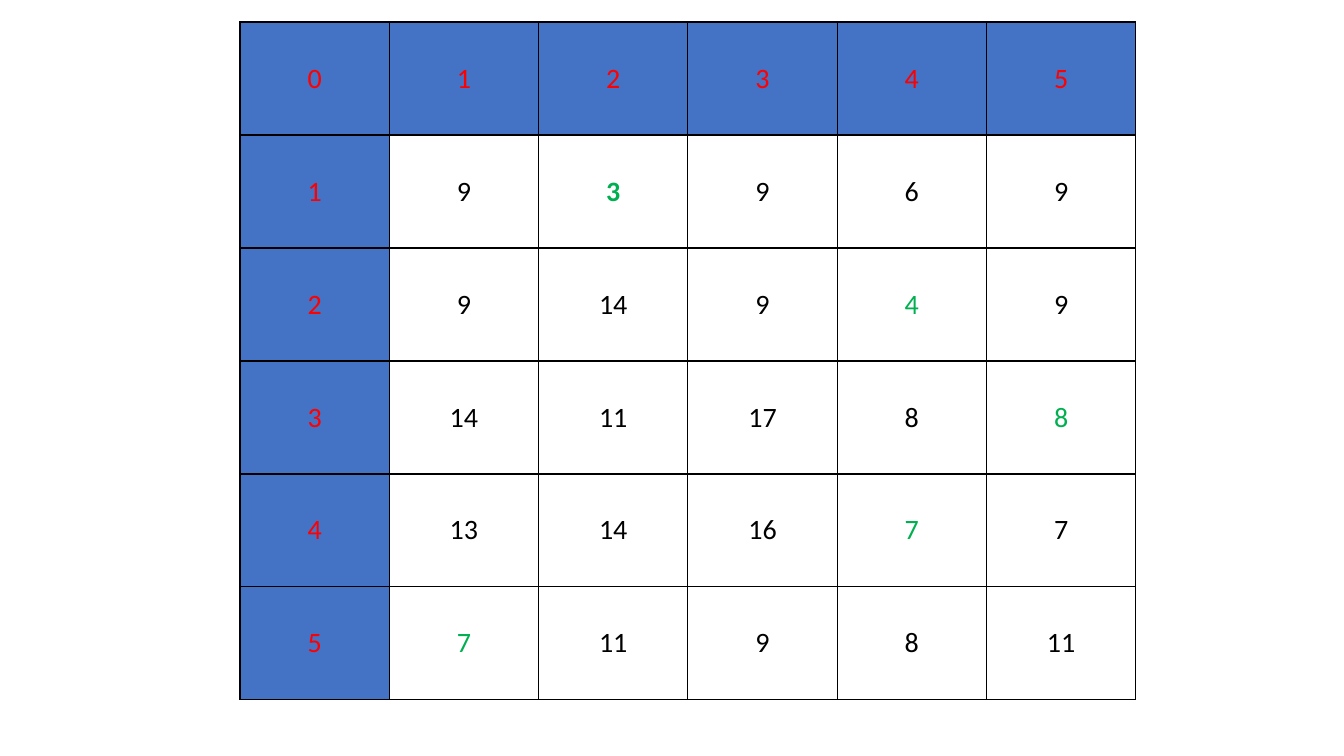
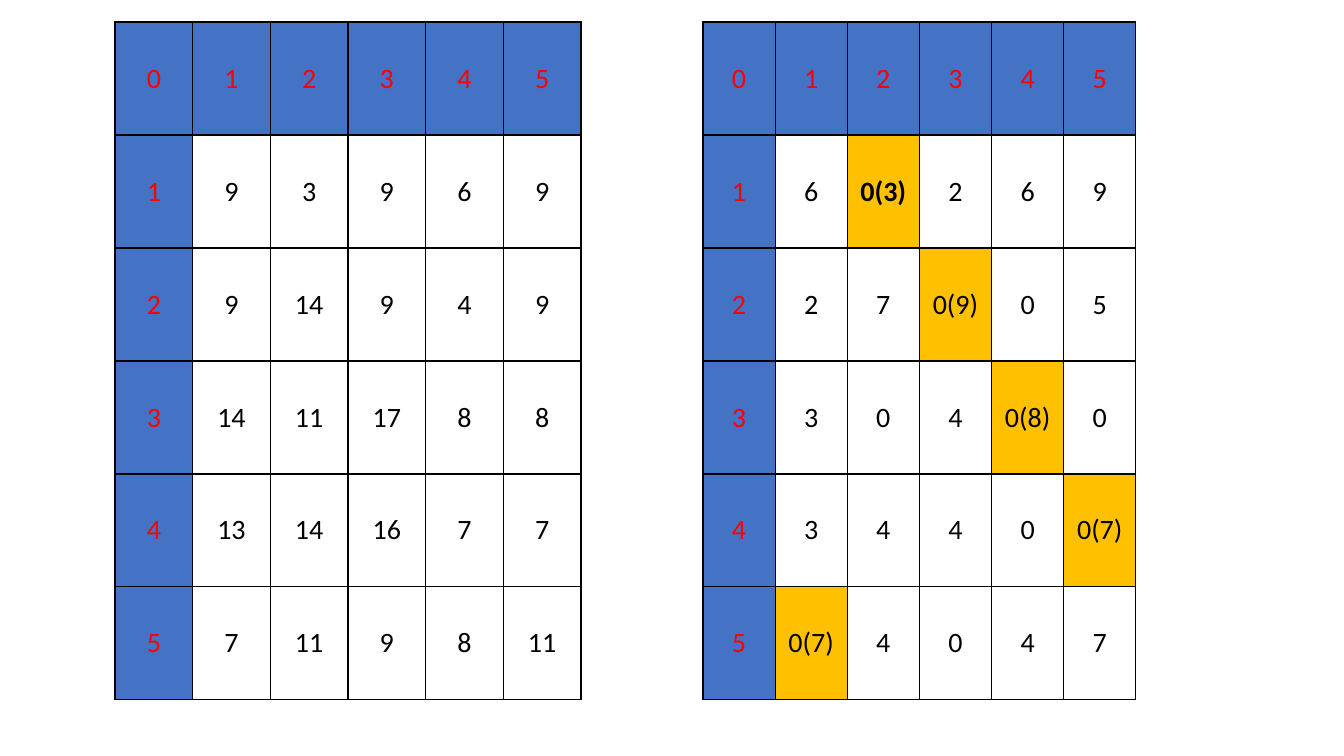
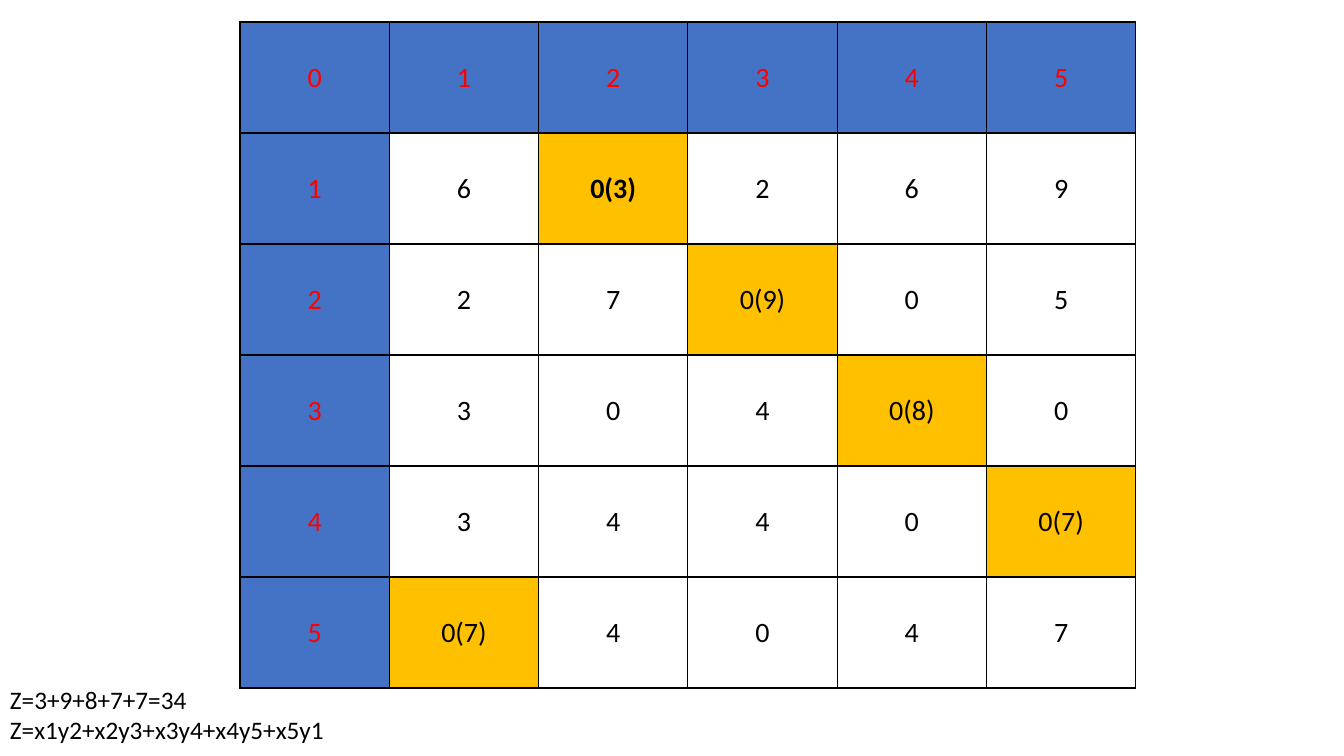
from pptx import Presentation
from pptx.dml.color import RGBColor
from pptx.enum.text import MSO_ANCHOR, PP_ALIGN
from pptx.oxml import parse_xml
from pptx.oxml.ns import nsdecls
from pptx.util import Emu, Pt

COSTS = [
    ["0", "1", "2", "3", "4", "5"],
    ["1", "9", "3", "9", "6", "9"],
    ["2", "9", "14", "9", "4", "9"],
    ["3", "14", "11", "17", "8", "8"],
    ["4", "13", "14", "16", "7", "7"],
    ["5", "7", "11", "9", "8", "11"],
]
REDUCED = [
    ["0", "1", "2", "3", "4", "5"],
    ["1", "6", "0(3)", "2", "6", "9"],
    ["2", "2", "7", "0(9)", "0", "5"],
    ["3", "3", "0", "4", "0(8)", "0"],
    ["4", "3", "4", "4", "0", "0(7)"],
    ["5", "0(7)", "4", "0", "4", "7"],
]
RESULT = ["Z=3+9+8+7+7=34", "Z=x1y2+x2y3+x3y4+x4y5+x5y1"]

BLUE = RGBColor(0x44, 0x72, 0xC4)
ORANGE = RGBColor(0xFF, 0xC0, 0x00)
RED = RGBColor(0xFF, 0x00, 0x00)
GREEN = RGBColor(0x00, 0xB0, 0x50)
BLACK = RGBColor(0x00, 0x00, 0x00)
FONT = "Calibri"

# (row, column) places
ROW_MINIMA = {(1, 2), (2, 4), (3, 5), (4, 4), (5, 1)}
ASSIGNED = {(1, 2), (2, 3), (3, 4), (4, 5), (5, 1)}
BOLD_PLACE = (1, 2)

# Each slide: its matrices and its text lines
SLIDES = [
    {"matrices": [dict(values=COSTS, left=240, width=896, row_height=113, green=ROW_MINIMA)],
     "lines": []},
    {"matrices": [dict(values=REDUCED, left=703, width=433, row_height=113, orange=ASSIGNED),
                  dict(values=COSTS, left=115, width=466, row_height=113)],
     "lines": []},
    {"matrices": [dict(values=REDUCED, left=240, width=896, row_height=111, orange=ASSIGNED)],
     "lines": RESULT},
]
MATRIX_TOP = 22
RESULT_BOX = (0, 679, 672, 72)


def px(pixels):
    """Turn pixels at 100.8 to the inch into EMU."""
    return Emu(round(pixels * 914400 / 100.8))


def write(paragraph, text, **font_values):
    """Put one formatted run into a paragraph."""
    run = paragraph.add_run()
    run.text = text
    color = font_values.pop("color", BLACK)
    for name, value in {"name": FONT, **font_values}.items():
        setattr(run.font, name, value)
    run.font.color.rgb = color


def add_borders(cell):
    """Draw a thin black line on all four sides of a cell."""
    properties = cell._tc.get_or_add_tcPr()
    for side in ("lnL", "lnR", "lnT", "lnB"):
        properties.append(parse_xml(
            f'<a:{side} {nsdecls("a")} w="{Pt(1)}"><a:solidFill>'
            f'<a:srgbClr val="{BLACK}"/></a:solidFill></a:{side}>'))


def add_matrix(slide, values, left, width, row_height, green=(), orange=()):
    """Add a matrix with blue header row and column and marked cells."""
    rows, columns = len(values), len(values[0])
    table = slide.shapes.add_table(rows, columns, px(left), px(MATRIX_TOP),
                                   px(width), px(rows * row_height)).table
    table.first_row = table.horz_banding = False
    for column in table.columns:
        column.width = px(width / columns)
    for row in table.rows:
        row.height = px(row_height)
    for row, texts in enumerate(values):
        for column, text in enumerate(texts):
            place = (row, column)
            header = 0 in place
            marked = place in green or place in orange
            cell = table.cell(row, column)
            add_borders(cell)
            if header or place in orange:
                cell.fill.solid()
                cell.fill.fore_color.rgb = BLUE if header else ORANGE
            else:
                cell.fill.background()
            cell.vertical_anchor = MSO_ANCHOR.MIDDLE
            paragraph = cell.text_frame.paragraphs[0]
            paragraph.alignment = PP_ALIGN.CENTER
            color = RED if header else GREEN if place in green else BLACK
            write(paragraph, text, size=Pt(20), color=color,
                  bold=marked and place == BOLD_PLACE)


def add_lines(slide, lines):
    """Add a text box with one paragraph for each line."""
    frame = slide.shapes.add_textbox(*map(px, RESULT_BOX)).text_frame
    frame.word_wrap = True
    for index, line in enumerate(lines):
        paragraph = frame.add_paragraph() if index else frame.paragraphs[0]
        write(paragraph, line, size=Pt(18))


def main():
    """Build all slides and save the presentation."""
    presentation = Presentation()
    presentation.slide_width, presentation.slide_height = px(1344), px(756)
    for content in SLIDES:
        slide = presentation.slides.add_slide(presentation.slide_layouts[6])
        for matrix in content["matrices"]:
            add_matrix(slide, **matrix)
        if content["lines"]:
            add_lines(slide, content["lines"])
    presentation.save("out.pptx")


main()
